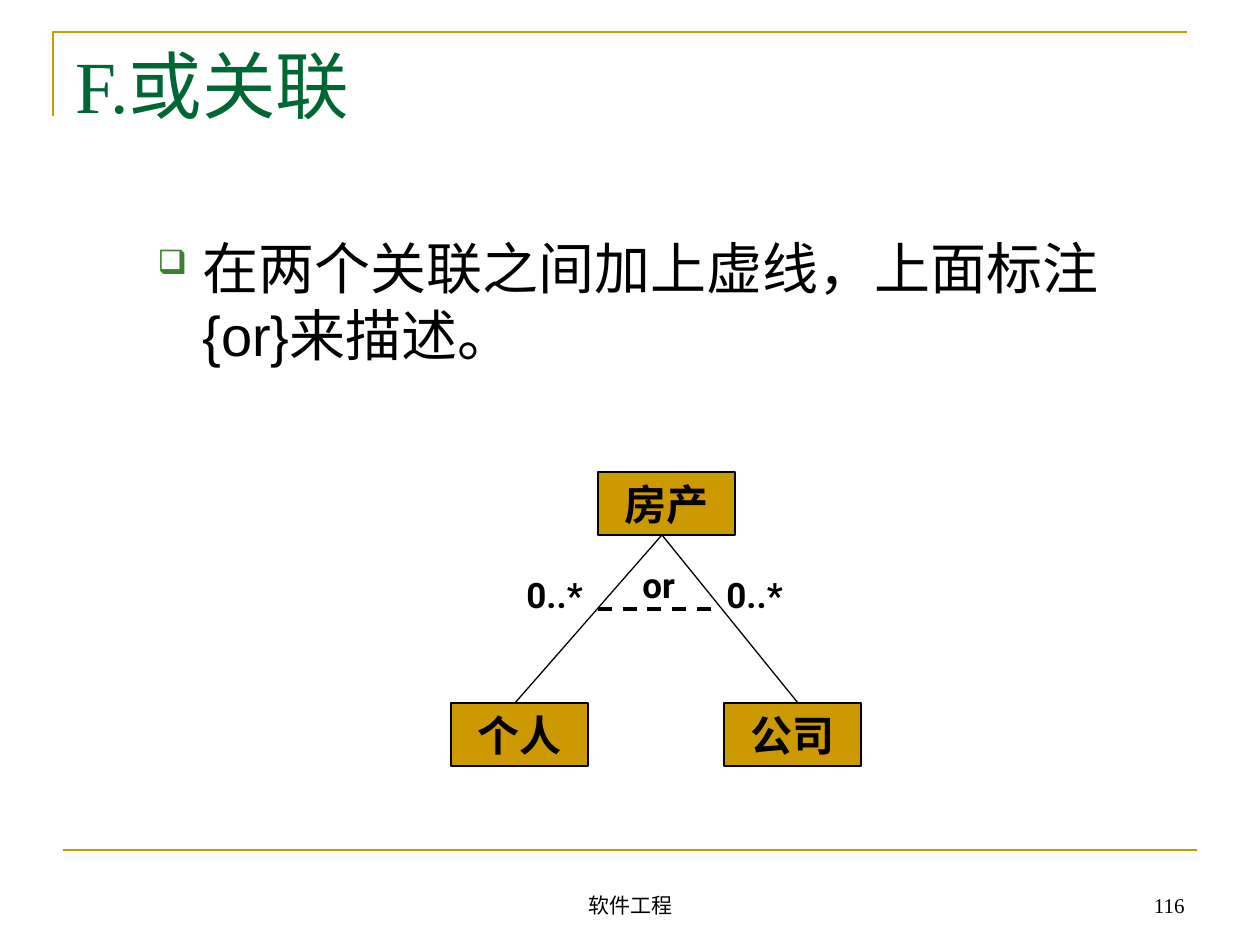
from lxml import etree
from pptx import Presentation
from pptx.dml.color import RGBColor
from pptx.enum.dml import MSO_LINE
from pptx.enum.shapes import MSO_CONNECTOR, MSO_SHAPE
from pptx.enum.text import MSO_ANCHOR, PP_ALIGN
from pptx.oxml.ns import qn
from pptx.util import Emu, Pt

LEFT, CENTER, RIGHT = PP_ALIGN.LEFT, PP_ALIGN.CENTER, PP_ALIGN.RIGHT
TOP, MIDDLE, BOTTOM = MSO_ANCHOR.TOP, MSO_ANCHOR.MIDDLE, MSO_ANCHOR.BOTTOM
PX = 914400 // 126

COLORS = {"gold": "CC9900", "green": "006633", "bullet": "3B812F", "black": "000000"}
SERIF, SANS, LABEL = "Times New Roman", "Arial", "Roboto"

FRAME = [(53, 116), (53, 32), (1187, 32)]
FOOTER_RULE = (63, 850, 1197, 850)

# text, box, font, size, color, alignment, anchor
TEXTS = [
    ("F.或关联", (63, 34, 1134, 122), SERIF, 42, "green", LEFT, TOP),
    ("软件工程", (431, 861, 399, 63), SERIF, 12, "black", CENTER, BOTTOM),
    ("116", (903, 861, 294, 63), SERIF, 12, "black", RIGHT, BOTTOM),
]
BODY = ["在两个关联之间加上虚线，上面标注", "{or}来描述。"]
BODY_BOX = (98, 240, 1126, 160)
BODY_MARGIN, BODY_HANG = 92, 45

CLASS_SIZE = (137, 63)
CLASSES = [("房产", 598, 472), ("个人", 451, 703), ("公司", 724, 703)]
ASSOCIATIONS = [(662, 535, 515, 703), (662, 535, 798, 703)]
OR_LINE = (598, 609, 714, 609)
LABELS = [
    ("or", (630, 557, 137, 55)),
    ("0..*", (514, 567, 158, 55)),
    ("0..*", (714, 567, 158, 55)),
]


def px(*values):
    return [Emu(v * PX) for v in values]


def rgb(name):
    return RGBColor.from_string(COLORS[name])


def write(shape, lines, font, size, color, align=LEFT, anchor=TOP, bold=False, wrap=True):
    tf = shape.text_frame
    tf.word_wrap = wrap
    tf.vertical_anchor = anchor
    tf.text = "\n".join(lines)
    for p in tf.paragraphs:
        p.alignment = align
        for r in p.runs:
            r.font.name, r.font.size, r.font.bold = font, Pt(size), bold
            r.font.color.rgb = rgb(color)
    return tf


def add_text(s, text, box, *style, **options):
    write(s.shapes.add_textbox(*px(*box)), [text], *style, **options)


def add_line(s, ends, color, width):
    line = s.shapes.add_connector(MSO_CONNECTOR.STRAIGHT, *px(*ends))
    line.line.color.rgb = rgb(color)
    line.line.width = Pt(width)
    etree.SubElement(line._element.spPr, qn("a:effectLst"))
    return line


def add_frame(s):
    builder = s.shapes.build_freeform(*FRAME[0], scale=PX)
    builder.add_line_segments(FRAME[1:], close=False)
    frame = builder.convert_to_shape()
    frame.shadow.inherit = False
    frame.fill.background()
    frame.line.color.rgb = rgb("gold")
    frame.line.width = Pt(1.5)


def add_body(s):
    tf = write(s.shapes.add_textbox(*px(*BODY_BOX)), BODY, SANS, 32, "black")
    first, second = tf.paragraphs
    for p in (first, second):
        p.line_spacing = 0.8
        p._p.get_or_add_pPr().set("marL", str(BODY_MARGIN * PX))
    second.space_before = Pt(8)
    pPr = first._p.pPr
    pPr.set("indent", str(-BODY_HANG * PX))
    bullet_color = etree.SubElement(pPr, qn("a:buClr"))
    etree.SubElement(bullet_color, qn("a:srgbClr"), val=COLORS["bullet"])
    etree.SubElement(pPr, qn("a:buSzPct"), val="60000")
    etree.SubElement(pPr, qn("a:buChar"), char="❑")


def add_class(s, name, x, y):
    rect = s.shapes.add_shape(MSO_SHAPE.RECTANGLE, *px(x, y, *CLASS_SIZE))
    rect.shadow.inherit = False
    rect.fill.solid()
    rect.fill.fore_color.rgb = rgb("gold")
    rect.line.color.rgb = rgb("black")
    rect.line.width = Pt(0.75)
    write(rect, [name], LABEL, 24, "black", CENTER, MIDDLE, bold=True, wrap=False)


def main():
    prs = Presentation()
    prs.slide_width, prs.slide_height = px(1260, 945)
    s = prs.slides.add_slide(prs.slide_layouts[6])

    add_frame(s)
    add_line(s, FOOTER_RULE, "gold", 1.5)
    add_body(s)
    for name, x, y in CLASSES:
        add_class(s, name, x, y)
    for ends in ASSOCIATIONS:
        add_line(s, ends, "black", 0.75)
    add_line(s, OR_LINE, "black", 2).line.dash_style = MSO_LINE.DASH
    for text, box in LABELS:
        add_text(s, text, box, LABEL, 20, "black", bold=True)
    for text, box, *style in TEXTS:
        add_text(s, text, box, *style)

    prs.save("out.pptx")


if __name__ == "__main__":
    main()
